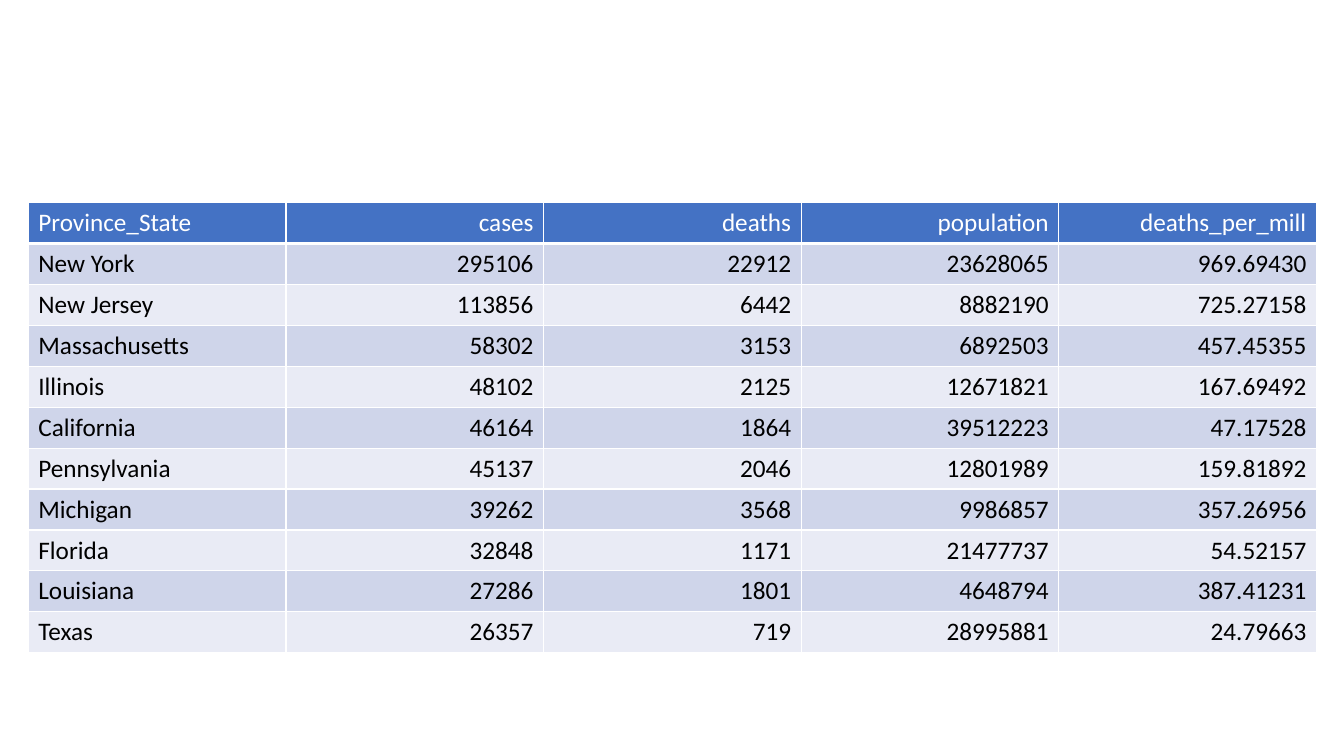
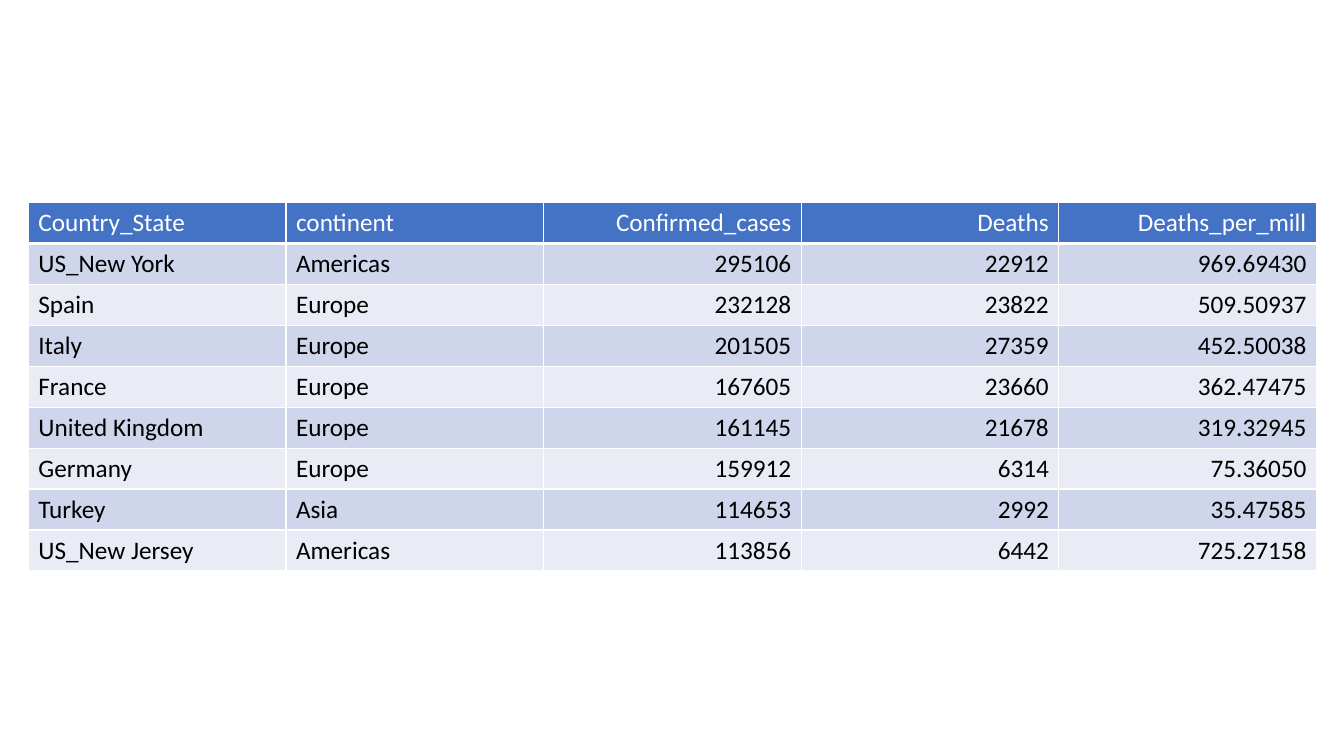
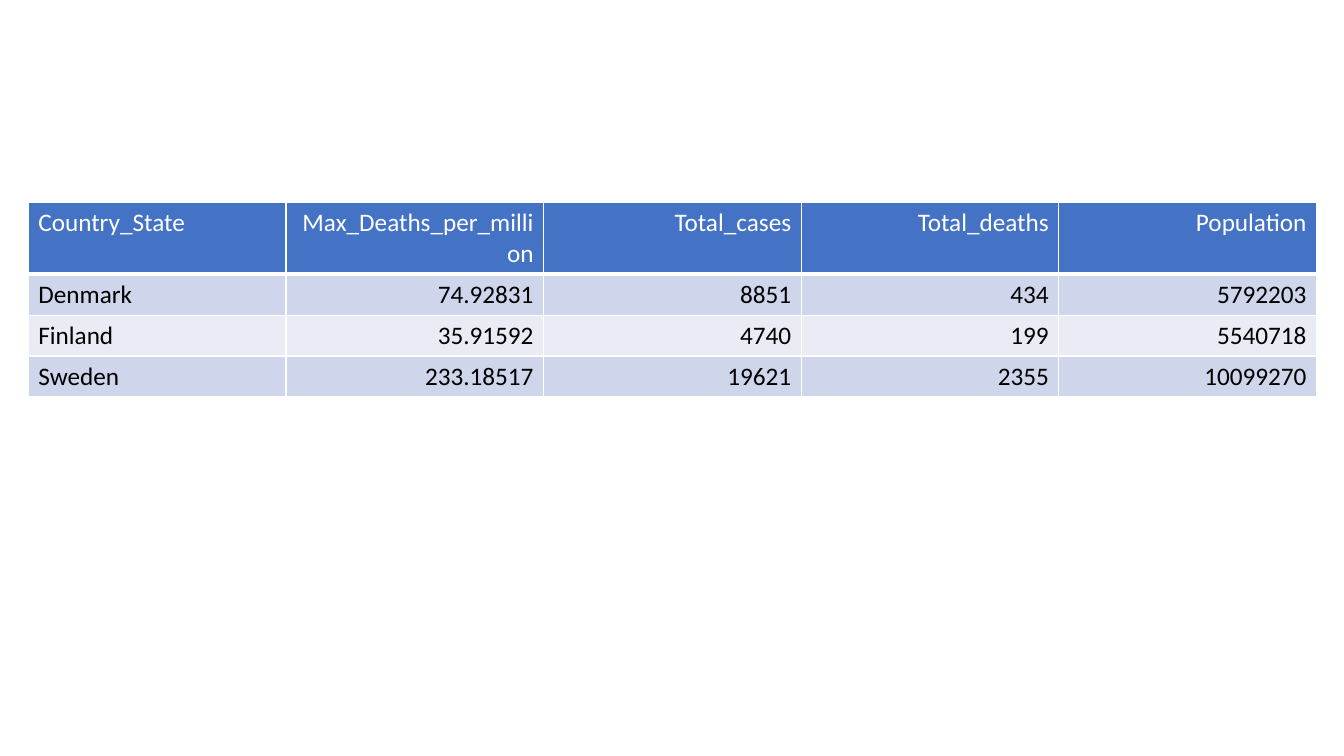
from pptx import Presentation
from pptx.dml.color import RGBColor
from pptx.enum.text import PP_ALIGN
from pptx.oxml.ns import qn
from pptx.util import Emu, Pt
from lxml.etree import SubElement

# Lengths are px, 96 to the inch
EMU_PER_PX = 9525
BLANK_LAYOUT = 6


def px(length):
    return Emu(length * EMU_PER_PX)


def color(hex_string):
    return RGBColor.from_string(hex_string)


def write_text(text_frame, text, *, font, size, text_color, bold=False, align=PP_ALIGN.LEFT):
    paragraph = text_frame.paragraphs[0]
    paragraph.alignment = align
    run = paragraph.add_run()
    run.text = text
    run.font.name = font
    run.font.size = Pt(size)
    run.font.bold = bold
    run.font.color.rgb = color(text_color)


class Deck:
    """Holds the shared style and the current slide."""

    font = "Calibri"
    text_size = 18
    header_fill, header_text = "4472C4", "FFFFFF"
    band_fills, body_text = ("CFD5EA", "E9EBF5"), "000000"
    border_color = "FFFFFF"
    table_left, table_top, table_width = 27, 193, 1227
    row_height = 39

    def __init__(self):
        self.presentation = Presentation()
        self.presentation.slide_width = px(1280)
        self.presentation.slide_height = px(720)
        self.slide = None

    def add_slide(self):
        layout = self.presentation.slide_layouts[BLANK_LAYOUT]
        self.slide = self.presentation.slides.add_slide(layout)

    def add_borders(self, cell, bottom_width):
        properties = cell._tc.get_or_add_tcPr()
        for side, width in (("L", 1), ("R", 1), ("T", 1), ("B", bottom_width)):
            line = SubElement(properties, qn(f"a:ln{side}"), w=str(Pt(width)))
            fill = SubElement(line, qn("a:solidFill"))
            SubElement(fill, qn("a:srgbClr"), val=self.border_color)

    def add_cell(self, cell, text, *, is_header, fill, align):
        self.add_borders(cell, bottom_width=3 if is_header else 1)
        cell.fill.solid()
        cell.fill.fore_color.rgb = color(fill)
        write_text(cell.text_frame, text, font=self.font, size=self.text_size,
                   text_color=self.header_text if is_header else self.body_text,
                   align=align)

    def add_table(self, rows, text_columns=1, header_height=row_height):
        """Text columns come first and align left; numbers align right."""
        table = self.slide.shapes.add_table(
            len(rows), len(rows[0]), px(self.table_left), px(self.table_top),
            px(self.table_width), px(self.row_height * len(rows))).table
        table.horz_banding = False
        table.rows[0].height = px(header_height)
        for row_index, row in enumerate(rows):
            is_header = row_index == 0
            fill = self.header_fill if is_header else self.band_fills[(row_index - 1) % 2]
            for column_index, text in enumerate(row):
                align = PP_ALIGN.LEFT if column_index < text_columns else PP_ALIGN.RIGHT
                self.add_cell(table.cell(row_index, column_index), text,
                              is_header=is_header, fill=fill, align=align)


# Table contents
STATES = [
    ("Province_State", "cases", "deaths", "population", "deaths_per_mill"),
    ("New York", "295106", "22912", "23628065", "969.69430"),
    ("New Jersey", "113856", "6442", "8882190", "725.27158"),
    ("Massachusetts", "58302", "3153", "6892503", "457.45355"),
    ("Illinois", "48102", "2125", "12671821", "167.69492"),
    ("California", "46164", "1864", "39512223", "47.17528"),
    ("Pennsylvania", "45137", "2046", "12801989", "159.81892"),
    ("Michigan", "39262", "3568", "9986857", "357.26956"),
    ("Florida", "32848", "1171", "21477737", "54.52157"),
    ("Louisiana", "27286", "1801", "4648794", "387.41231"),
    ("Texas", "26357", "719", "28995881", "24.79663"),
]

COUNTRIES_AND_STATES = [
    ("Country_State", "continent", "Confirmed_cases", "Deaths", "Deaths_per_mill"),
    ("US_New York", "Americas", "295106", "22912", "969.69430"),
    ("Spain", "Europe", "232128", "23822", "509.50937"),
    ("Italy", "Europe", "201505", "27359", "452.50038"),
    ("France", "Europe", "167605", "23660", "362.47475"),
    ("United Kingdom", "Europe", "161145", "21678", "319.32945"),
    ("Germany", "Europe", "159912", "6314", "75.36050"),
    ("Turkey", "Asia", "114653", "2992", "35.47585"),
    ("US_New Jersey", "Americas", "113856", "6442", "725.27158"),
]

NORDIC_COUNTRIES = [
    ("Country_State", "Max_Deaths_per_million", "Total_cases", "Total_deaths", "Population"),
    ("Denmark", "74.92831", "8851", "434", "5792203"),
    ("Finland", "35.91592", "4740", "199", "5540718"),
    ("Sweden", "233.18517", "19621", "2355", "10099270"),
]


def main():
    deck = Deck()

    # Slide 1: states
    deck.add_slide()
    deck.add_table(STATES)

    # Slide 2: countries and states
    deck.add_slide()
    deck.add_table(COUNTRIES_AND_STATES, text_columns=2)

    # Slide 3: Nordic countries, with a two-line header
    deck.add_slide()
    deck.add_table(NORDIC_COUNTRIES, header_height=68)

    deck.presentation.save("out.pptx")


if __name__ == "__main__":
    main()
